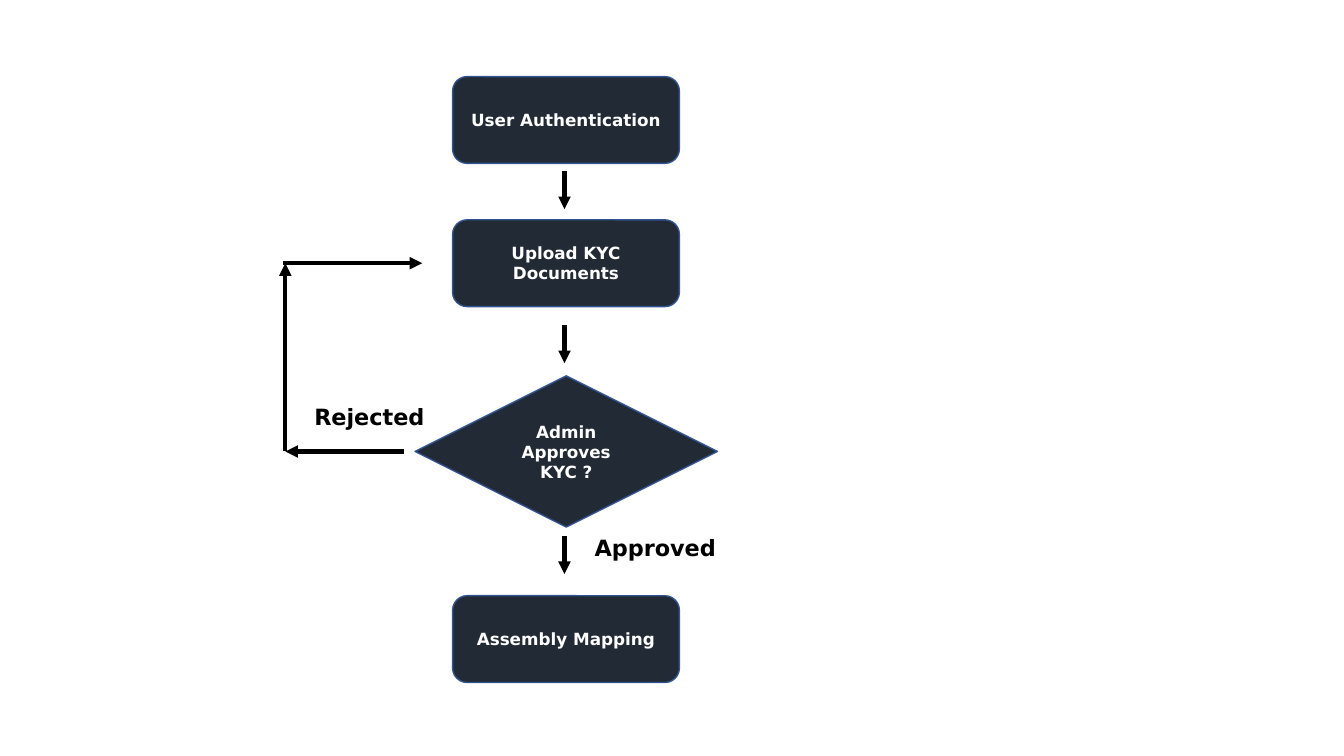
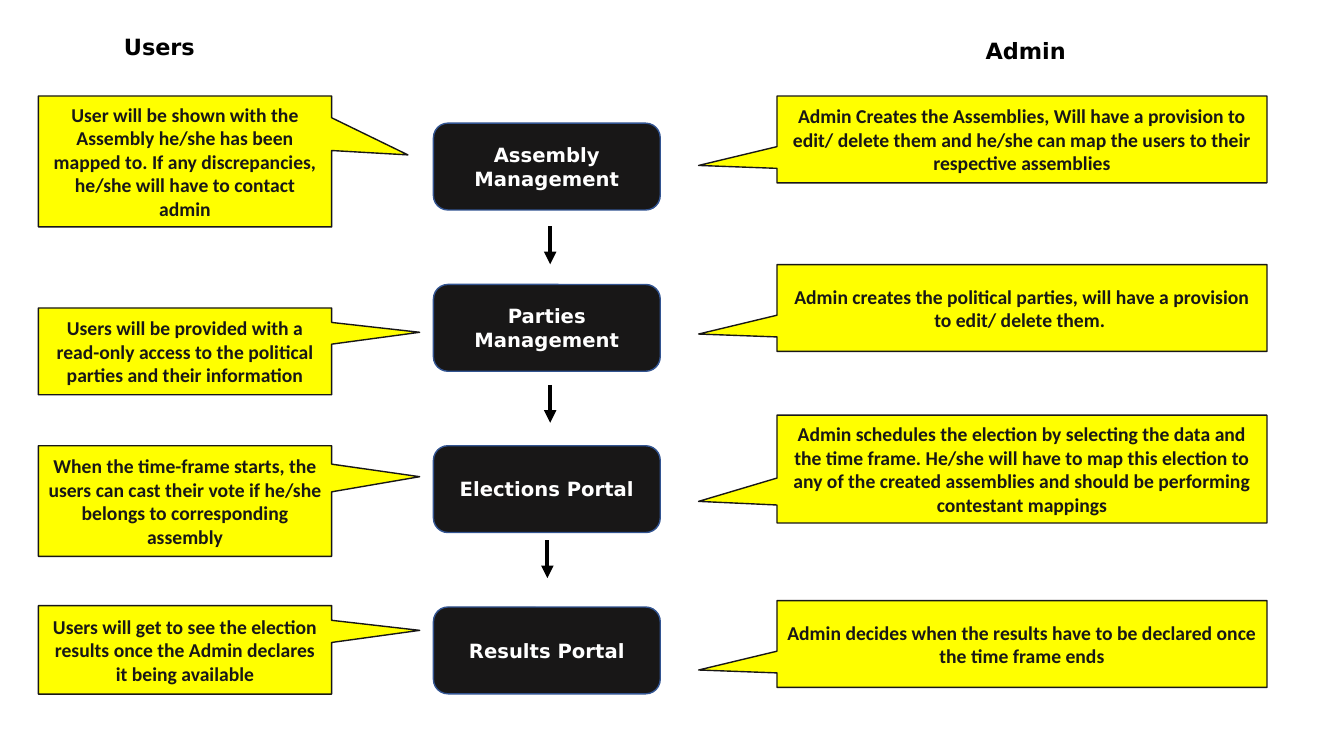
"""Builds two flow slides on user checks and election management."""
from dataclasses import dataclass
from lxml.etree import SubElement as Sub
from pptx import Presentation as Deck
from pptx.dml.color import RGBColor as RGB
from pptx.enum.shapes import MSO_CONNECTOR as Link, MSO_SHAPE as Form
from pptx.enum.text import MSO_ANCHOR as Anchor, PP_ALIGN as Align
from pptx.oxml.ns import qn
from pptx.util import Pt


@dataclass(frozen=True)
class Theme:
    navy: str = "222A35"
    dark: str = "181717"
    edge: str = "325491"
    note: str = "FFFF00"
    white: str = "FFFFFF"
    black: str = "000000"
    face: str = "DejaVu Sans"
    plain: str = "Calibri"
    small: int = 12
    body: int = 14
    head: int = 16
    thin: int = 1
    thick: int = 3


class Page:
    def __init__(self, deck, theme):
        self.theme = theme
        self.slide = deck.slides.add_slide(deck.slide_layouts[6])

    def fill_text(self, shape, text, size, tint, face):
        para = shape.text_frame.paragraphs[0]
        para.text = text
        font = para.runs[0].font
        font.name, font.size, font.bold = face, Pt(size), True
        font.color.rgb = RGB.from_string(tint)
        return para

    def block(self, form, area, fill, edge):
        shape = self.slide.shapes.add_shape(form, *map(Pt, area))
        shape.shadow.inherit = False
        shape.fill.solid()
        shape.fill.fore_color.rgb = RGB.from_string(fill)
        shape.line.color.rgb = RGB.from_string(edge)
        shape.line.width = Pt(self.theme.thin)
        shape.text_frame.word_wrap = True
        shape.text_frame.vertical_anchor = Anchor.MIDDLE
        return shape

    def step(self, text, area, fill, size, form=Form.ROUNDED_RECTANGLE):
        t = self.theme
        shape = self.block(form, area, fill, t.edge)
        para = self.fill_text(shape, text, size, t.white, t.face)
        para.alignment = Align.CENTER

    def callout(self, text, area, tip):
        t = self.theme
        shape = self.block(Form.RECTANGULAR_CALLOUT, area, t.note, t.dark)
        shape.adjustments[0], shape.adjustments[1] = tip
        para = self.fill_text(shape, text, t.body, t.dark, t.plain)
        para.alignment = Align.CENTER

    def label(self, text, left, top, width):
        t = self.theme
        shape = self.slide.shapes.add_textbox(Pt(left), Pt(top), Pt(width), Pt(26.6))
        shape.text_frame.word_wrap = False
        self.fill_text(shape, text, t.head, t.black, t.face)

    def arrow(self, *ends):
        link = self.slide.shapes.add_connector(Link.STRAIGHT, *map(Pt, ends))
        link.line.width = Pt(self.theme.thick)
        link.line.color.rgb = RGB.from_string(self.theme.black)
        props = link._element.spPr
        Sub(props.find(qn("a:ln")), qn("a:tailEnd"), type="triangle")
        Sub(props, qn("a:effectLst"))

    def down(self, left, top):
        self.arrow(left, top, left, top + 27)


WIDE, HIGH = 162, 62


def check(page):
    t = page.theme
    left = 323.3
    steps = (("User Authentication", 54.7), ("Upload KYC Documents", 157),
             ("Assembly Mapping", 425.5))
    for text, top in steps:
        page.step(text, (left, top, WIDE, HIGH), t.navy, t.small)
    page.step("Admin Approves KYC ?", (296.5, 268.5, 216, 108), t.navy, t.small,
              Form.DIAMOND)
    for top in (122.4, 232.4, 383):
        page.down(403.2, top)
    side, base, turn = 203.8, 322.5, 188
    page.arrow(288.7, base, side, base)
    page.arrow(side, base, side, turn)
    page.arrow(202, turn, 301.7, turn)
    page.label("Approved", 417.6, 378, 101.5)
    page.label("Rejected", 217.4, 284.4, 94.3)


def manage(page):
    t = page.theme
    steps = ("Assembly Management", "Parties Management", "Elections Portal",
             "Results Portal")
    for i, text in enumerate(steps):
        page.step(text, (309.6, 88 + 115.2 * i, WIDE, HIGH), t.dark, t.body)
    admin = (
        ("Admin Creates the Assemblies, Will have a provision to edit/ delete them "
         "and he/she can map the users to their respective assemblies", 68.6, HIGH),
        ("Admin creates the political parties, will have a provision to edit/ "
         "delete them. ", 189, HIGH),
        ("Admin schedules the election by selecting the data and the time frame. "
         "He/she will have to map this election to any of the created assemblies "
         "and should be performing contestant mappings", 296.6, 77),
        ("Admin decides when the results have to be declared once the time frame "
         "ends", 429, HIGH))
    for text, top, high in admin:
        page.callout(text, (555, top, 350, high), (-0.66, 0.3))
    high_tip, low_tip = (0.76, -0.05), (0.8, -0.22)
    users = (
        ("User will be shown with the Assembly he/she has been mapped to. If any "
         "discrepancies, he/she will have to contact admin", 68.6, 93.5, high_tip),
        ("Users will be provided with a read-only access to the political parties "
         "and their information", 220, HIGH, low_tip),
        ("When the time-frame starts, the users can cast their vote if he/she "
         "belongs to corresponding assembly", 318.4, 79, low_tip),
        ("Users will get to see the election results once the Admin declares it "
         "being available", 432.6, 63.2, low_tip))
    for text, top, high, tip in users:
        page.callout(text, (27.4, top, 209.5, high), tip)
    for left, top in ((393, 161.8), (393, 275), (391, 386)):
        page.down(left, top)
    page.label("Users", 81.4, 20.2, 65.5)
    page.label("Admin", 697, 23, 72.7)


deck = Deck()
deck.slide_width, deck.slide_height = Pt(960), Pt(540)
theme = Theme()
for draw in (check, manage):
    draw(Page(deck, theme))
deck.save("out.pptx")
